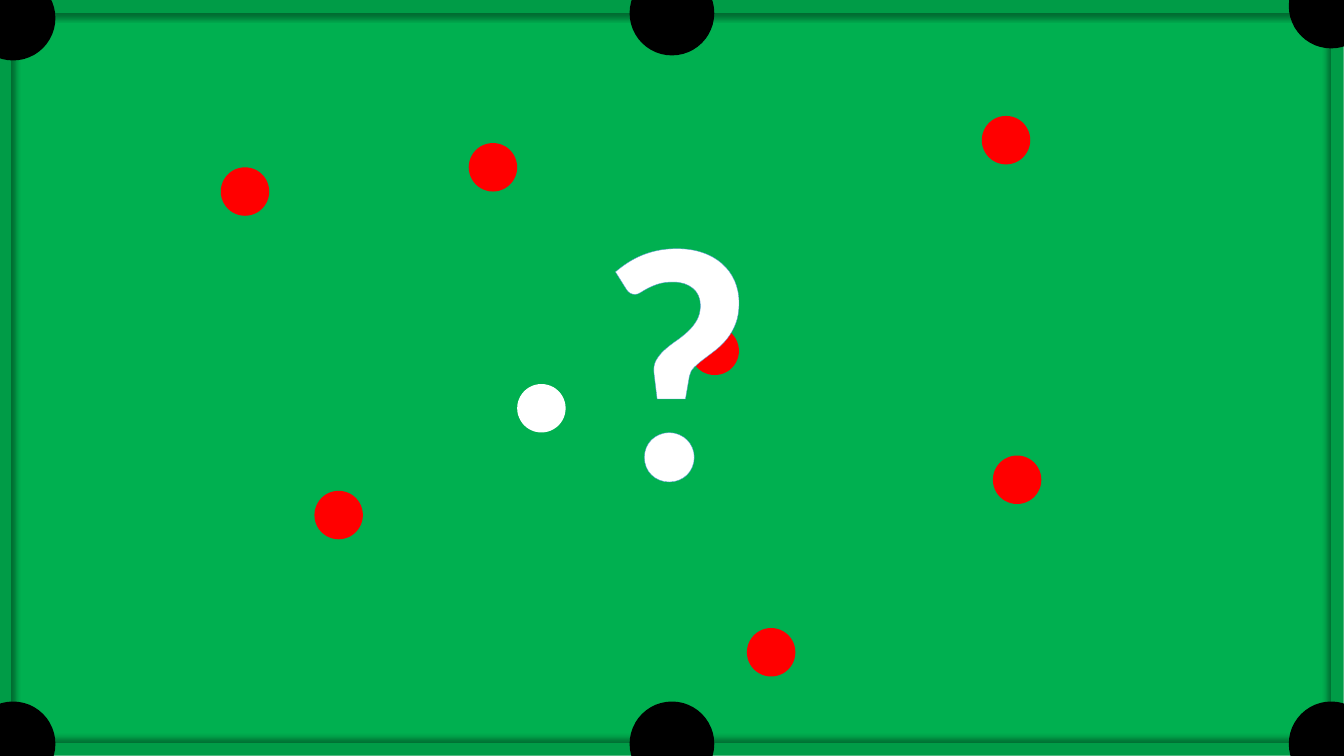
import pptx
import pptx.dml.color
import pptx.enum.shapes
import pptx.enum.text
import pptx.oxml
import pptx.oxml.ns
import pptx.util

Pt = pptx.util.Pt
RGBColor = pptx.dml.color.RGBColor
SHAPES = pptx.enum.shapes.MSO_SHAPE

CLOTH = RGBColor(0x00, 0xB0, 0x50)
CUSHION = RGBColor(0x00, 0x9C, 0x47)
BLACK = RGBColor(0x00, 0x00, 0x00)
RED = RGBColor(0xFF, 0x00, 0x00)
WHITE = RGBColor(0xFF, 0xFF, 0xFF)
OUTLINE = RGBColor(0x5B, 0x9B, 0xD5)

NAMESPACE = pptx.oxml.ns.nsdecls("a")
POCKET_SIZE = 60.5
BALL_SIZE = 34.6
RED_BALLS = [(157.7, 119.5), (334.8, 102.2), (224.6, 350.6), (493.2, 233.3),
             (709.2, 325.4), (701.3, 82.8), (533.5, 448.6)]
CUE_BALL = (369.4, 274.3)


def add_filled(slide, kind, box, color):
    shape = slide.shapes.add_shape(kind, *[Pt(length) for length in box])
    shape.shadow.inherit = False
    shape.fill.solid()
    shape.fill.fore_color.rgb = color
    shape.line.fill.background()
    return shape


def add_cushion(slide, box, shadow_angle):
    cushion = add_filled(slide, SHAPES.RECTANGLE, box, CUSHION)
    effects = cushion._element.spPr.find(pptx.oxml.ns.qn("a:effectLst"))
    effects.append(pptx.oxml.parse_xml(
        f'<a:outerShdw {NAMESPACE} blurRad="{Pt(4)}" dist="{Pt(3)}" '
        f'dir="{shadow_angle * 60000}" algn="ctr" rotWithShape="0">'
        f'<a:srgbClr val="{BLACK}"><a:alpha val="40000"/></a:srgbClr>'
        '</a:outerShdw>'))


def add_table_bed(slide, left, top, width, height):
    add_filled(slide, SHAPES.RECTANGLE,
               (left + 8, top + 8.6, width - 16.7, height - 18), CLOTH)
    add_cushion(slide, (left + 36.6, top, 893, 9.2), 90)
    add_cushion(slide, (left + 32.5, top + height - 9.2, 893, 9), 270)
    add_cushion(slide, (left - 1.2, top + 30.4, 9, 482), 0)
    add_cushion(slide, (left + width - 9.2, top + 29, 9, 482), 180)


def add_pockets(slide, left, top, width, height):
    columns = [(-20.9, -17.3), (width / 2 - POCKET_SIZE / 2, -20.9),
               (width - 39.4, -25.9)]
    for pocket_left, upper_top in columns:
        for pocket_top in (upper_top, height - 38.9):
            add_filled(slide, SHAPES.OVAL,
                       (left + pocket_left, top + pocket_top,
                        POCKET_SIZE, POCKET_SIZE), BLACK)


def add_balls(slide, left, top):
    balls = [(place, RED) for place in RED_BALLS] + [(CUE_BALL, WHITE)]
    for (ball_left, ball_top), color in balls:
        add_filled(slide, SHAPES.OVAL,
                   (left + ball_left, top + ball_top, BALL_SIZE, BALL_SIZE), color)


def add_question_mark(slide, left, top, width, height):
    text_box = slide.shapes.add_textbox(Pt(left), Pt(top), Pt(width), Pt(height))
    frame = text_box.text_frame
    frame.word_wrap = True
    frame.auto_size = pptx.enum.text.MSO_AUTO_SIZE.SHAPE_TO_FIT_TEXT
    paragraph = frame.paragraphs[0]
    paragraph.alignment = pptx.enum.text.PP_ALIGN.CENTER
    run = paragraph.add_run()
    run.text = "?"
    paragraph.font.name = "Calibri"
    paragraph.font.size = Pt(239)
    paragraph.font.bold = True
    paragraph.font.color.rgb = WHITE
    run._r.get_or_add_rPr().insert(0, pptx.oxml.parse_xml(
        f'<a:ln {NAMESPACE} w="{Pt(0.8)}"><a:solidFill>'
        f'<a:srgbClr val="{OUTLINE}"/></a:solidFill></a:ln>'))


def build_pool_slide(presentation, left, top, width, height):
    slide = presentation.slides.add_slide(presentation.slide_layouts[6])
    add_table_bed(slide, left, top, width, height)
    add_pockets(slide, left, top, width, height)
    add_balls(slide, left, top)
    add_question_mark(slide, left + 357.1, top + 100.1, 252.7, 296.6)


def main():
    presentation = pptx.Presentation()
    presentation.slide_width = Pt(960)
    presentation.slide_height = Pt(540)
    build_pool_slide(presentation, 0, 0, 960, 540)
    presentation.save("out.pptx")


if __name__ == "__main__":
    main()
